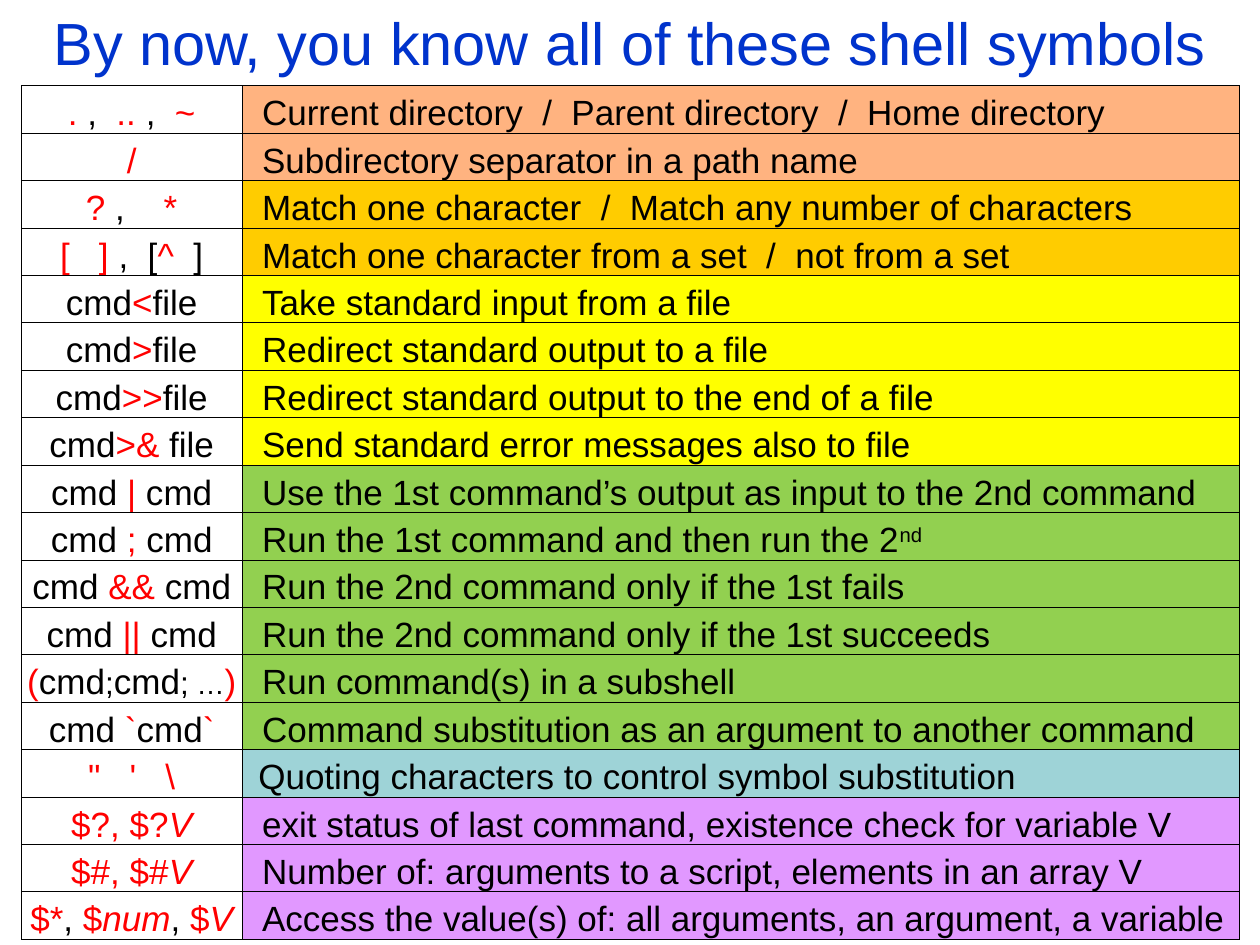
from lxml.etree import SubElement
from pptx import Presentation
from pptx.dml.color import RGBColor
from pptx.enum.text import MSO_ANCHOR, PP_ALIGN
from pptx.oxml.ns import qn
from pptx.util import Inches, Pt

RED = {"color": "FF0000"}
VARIABLE = {"color": "FF0000", "italic": True}
SMALL = {"size": 18}
SMALLER = {"size": 16}
RAISED = {"baseline": 30000}

PEACH, ORANGE, YELLOW = "FFB380", "FFCC00", "FFFF00"
GREEN, TEAL, PURPLE = "92D050", "9ED3D7", "E198FF"

# Fill of the meaning, pieces of the symbol, pieces of the meaning.
# A plain string is a black piece; a tuple adds a style.
ROWS = [
    (PEACH, [(". ", RED), ",", ("  .. ", RED), ",", ("  ~", RED)],
     ["Current directory  /  Parent directory  /  Home directory"]),
    (PEACH, [("/", RED)], ["Subdirectory separator in a path name"]),
    (ORANGE, [("? ", RED), ",", ("    *", RED)],
     ["Match one character  /  Match any number of characters"]),
    (ORANGE, [("[   ] ", RED), ",  [", ("^", RED), "  ]"],
     ["Match one character from a set  /  not from a set"]),
    (YELLOW, ["cmd", ("<", RED), "file"], ["Take standard input from a file"]),
    (YELLOW, ["cmd", (">", RED), "file"], ["Redirect standard output to a file"]),
    (YELLOW, ["cmd", (">>", RED), "file"],
     ["Redirect standard output to the end of a file"]),
    (YELLOW, ["cmd", (">&", RED), " file"],
     ["Send standard error messages also to file"]),
    (GREEN, ["cmd", (" | ", RED), "cmd"],
     ["Use the 1st command’s output as input to the 2nd command"]),
    (GREEN, ["cmd ", ("; ", RED), "cmd"],
     ["Run the 1st command and then run the 2", ("nd", RAISED)]),
    (GREEN, ["cmd ", ("&& ", RED), "cmd"],
     ["Run the 2nd command only if the 1st fails"]),
    (GREEN, ["cmd ", ("|| ", RED), "cmd"],
     ["Run the 2nd command only if the 1st succeeds"]),
    (GREEN, [("(", RED), "cmd", (";", SMALL), "cmd", (";", SMALL),
             (" …", SMALLER), (")", RED)],
     ["Run command(s) in a subshell"]),
    (GREEN, ["cmd ", ("`", RED), "cmd", ("`", RED)],
     ["Command substitution as an argument to another command"]),
    (TEAL, [("\"   '   \\", RED)],
     ["Quoting characters to control symbol substitution"]),
    (PURPLE, [("$?, $?", RED), ("V", VARIABLE)],
     ["exit status of last command, existence check for variable V"]),
    (PURPLE, [("$#, $#", RED), ("V", VARIABLE)],
     ["Number of: arguments to a script, elements in an array V"]),
    (PURPLE, [("$*", RED), ",", (" $", RED), ("num", VARIABLE), ", ",
              ("$", RED), ("V", VARIABLE)],
     ["Access the value(s) of: all arguments, an argument, a variable"]),
]


def rgb(value):
    return RGBColor.from_string(value)


def fill_cell(cell, pieces, alignment, indent):
    """Write styled pieces into a cell and give it thin black borders."""
    cell.margin_left = Inches(indent)
    cell.margin_top = cell.margin_right = Inches(0.01)
    cell.margin_bottom = 0
    cell.vertical_anchor = MSO_ANCHOR.BOTTOM
    para = cell.text_frame.paragraphs[0]
    para.alignment = alignment
    para.font.name = "Arial"
    para.font.size = Pt(20)
    for piece in pieces:
        text, style = (piece, {}) if isinstance(piece, str) else piece
        span = para.add_run()
        span.text = text
        span.font.name = "Arial"
        span.font.size = Pt(style.get("size", 20))
        span.font.color.rgb = rgb(style.get("color", "000000"))
        if "italic" in style:
            span.font.italic = True
        if "baseline" in style:
            span._r.get_or_add_rPr().set("baseline", str(style["baseline"]))
    properties = cell._tc.get_or_add_tcPr()
    for side in ("lnL", "lnR", "lnT", "lnB"):
        line = SubElement(properties, qn(f"a:{side}"), w=str(Pt(0.5)))
        solid = SubElement(line, qn("a:solidFill"))
        SubElement(solid, qn("a:srgbClr"), val="000000")


deck = Presentation()
deck.slide_width = Inches(10)
deck.slide_height = Inches(7.5)
page = deck.slides.add_slide(deck.slide_layouts[6])

title = page.shapes.add_textbox(0, 0, Inches(10), Inches(0.67))
title.text_frame.word_wrap = True
title.text_frame.vertical_anchor = MSO_ANCHOR.MIDDLE
heading = title.text_frame.paragraphs[0]
heading.text = "By now, you know all of these shell symbols"
heading.alignment = PP_ALIGN.CENTER
heading.font.name = "Arial"
heading.font.size = Pt(34)
heading.font.color.rgb = rgb("0033CC")

table = page.shapes.add_table(len(ROWS), 2, Inches(0.17), Inches(0.68),
                              Inches(9.67), Inches(6.78)).table
table.first_row = False
table.horz_banding = False
table.columns[0].width = Inches(1.75)
table.columns[1].width = Inches(7.92)

for row, (color, symbol, meaning) in enumerate(ROWS):
    symbol_cell, meaning_cell = table.cell(row, 0), table.cell(row, 1)
    fill_cell(symbol_cell, symbol, PP_ALIGN.CENTER, 0.01)
    symbol_cell.fill.background()
    fill_cell(meaning_cell, meaning, PP_ALIGN.LEFT, 0.13 if color == TEAL else 0.16)
    meaning_cell.fill.solid()
    meaning_cell.fill.fore_color.rgb = rgb(color)

deck.save("out.pptx")
